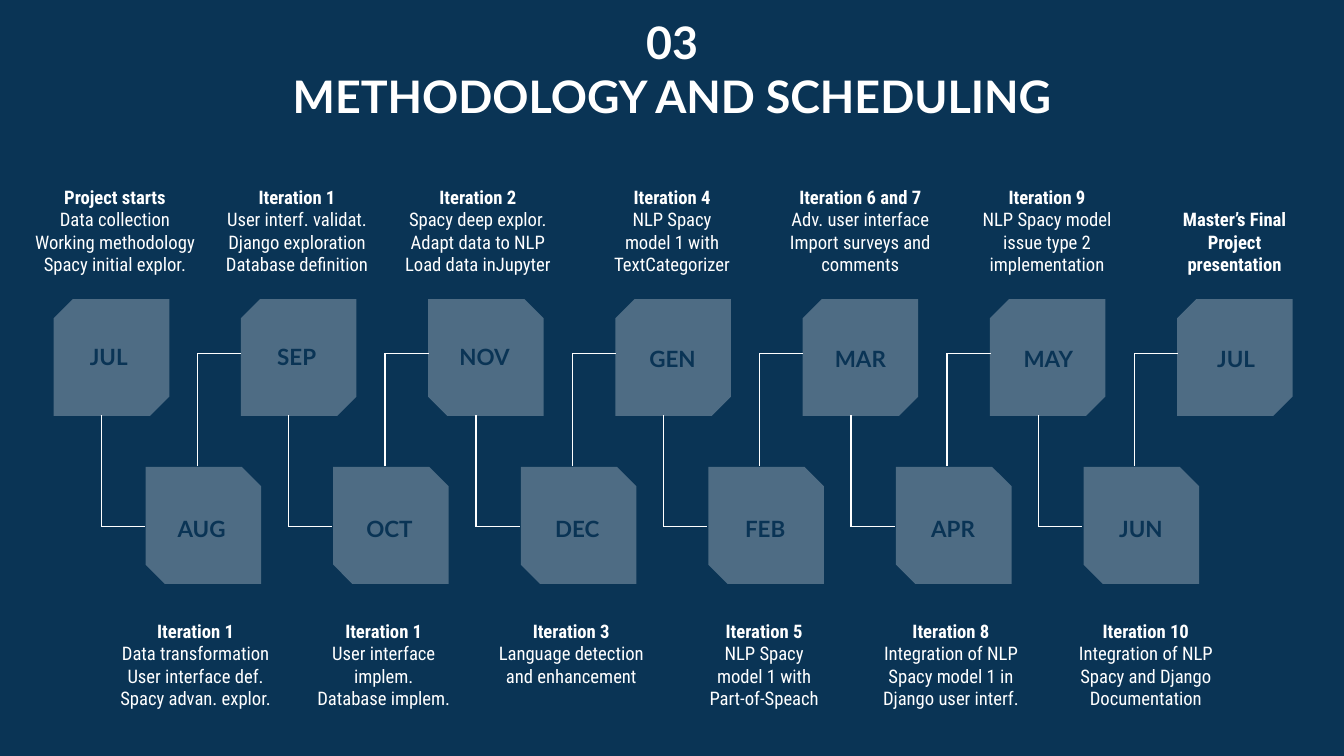
from dataclasses import dataclass

import lxml.etree
import pptx
import pptx.dml.color
import pptx.enum.shapes
import pptx.enum.text
import pptx.oxml.ns
import pptx.util

ANCHOR = pptx.enum.text.MSO_ANCHOR
Color = pptx.dml.color.RGBColor


@dataclass(frozen=True)
class Theme:
    navy: Color = Color.from_string("0A3455")
    white: Color = Color.from_string("FFFFFF")
    heading_font: str = "Lato"
    body_font: str = "Roboto Condensed"
    title_size: float = 24
    month_size: float = 12
    note_size: float = 10
    line_width: float = 0.75
    tile_opacity: int = 28  # percent
    tile_snip: float = 0.167


@dataclass(frozen=True)
class Step:
    """A month with its note; note_left and note_width are grid columns."""
    month: str
    note_left: float
    note_width: float
    heading: str
    lines: tuple[str, ...] = ()
    mirrored: bool = False
    month_anchor: ANCHOR = ANCHOR.TOP


@dataclass(frozen=True)
class Band:
    """A row of steps; every length is in grid columns and rows."""
    tile_left: float
    tile_top: float
    tile_pitch: float
    month_left: float
    month_top: float
    note_top: float
    note_height: float
    note_anchor: ANCHOR
    stem_left: float
    stem_start: float
    stem_end: float
    steps: tuple[Step, ...]


THEME = Theme()

# Grid: 100 columns across the slide, rows of the same size
COLUMNS, ROWS = 100, 56.25
COLUMN = pptx.util.Inches(10) // COLUMNS
MONTH_PITCH = 13.98
LINK_PITCH = 13.94
TILE_WIDTH, TILE_HEIGHT = 8.6, 8.7
MONTH_HEIGHT = 4.3
BRANCH = 3.25
LINK_COUNT = 6

UPPER = Band(4, 22.25, 13.93, 3.8, 24.55, 13.3, 8.2, ANCHOR.BOTTOM, 7.55, 30.9, 39.2, (
    Step("JUL", 1.5, 14.1, "Project starts",
         ("Data collection", "Working methodology", "Spacy initial explor.")),
    Step("SEP", 15.6, 13, "Iteration 1",
         ("User interf. validat.", "Django exploration", "Database definition")),
    Step("NOV", 28.6, 13.9, "Iteration 2",
         ("Spacy deep explor.", "Adapt data to NLP", "Load data inJupyter"),
         mirrored=True),
    Step("GEN", 44.05, 11.9, "Iteration 4",
         ("NLP Spacy", "model 1 with TextCategorizer"), month_anchor=ANCHOR.MIDDLE),
    Step("MAR", 57.25, 13.5, "Iteration 6 and 7",
         ("Adv. user interface", "Import surveys and comments"),
         month_anchor=ANCHOR.MIDDLE),
    Step("MAY", 71.95, 11.9, "Iteration 9",
         ("NLP Spacy model issue type 2 implementation",),
         month_anchor=ANCHOR.MIDDLE),
    Step("JUL", 85.9, 11.9, "Master’s Final Project presentation",
         month_anchor=ANCHOR.MIDDLE),
))

LOWER = Band(10.83, 34.75, 13.96, 10.7, 37.3, 45.1, 8.5, ANCHOR.TOP, 14.7, 34.7, 26.3, (
    Step("AUG", 7.6, 13.9, "Iteration 1",
         ("Data transformation", "User interface def.", "Spacy advan. explor."),
         mirrored=True),
    Step("OCT", 21.5, 14.1, "Iteration 1",
         ("User interface implem.", "Database implem."), mirrored=True),
    Step("DEC", 35.6, 13.8, "Iteration 3",
         ("Language detection and enhancement",), mirrored=True),
    Step("FEB", 50.9, 11.9, "Iteration 5",
         ("NLP Spacy", "model 1 with", "Part-of-Speach"), mirrored=True),
    Step("APR", 64, 13.5, "Iteration 8",
         ("Integration of NLP Spacy model 1 in Django user interf.",), mirrored=True),
    Step("JUN", 78.5, 13.5, "Iteration 10",
         ("Integration of NLP Spacy and Django", "Documentation"), mirrored=True),
))


def grid(*lengths: float) -> list[int]:
    return [round(length * COLUMN) for length in lengths]


def write_text(shape, lines: tuple[str, ...], *, font: str, size: float,
               color: Color, anchor: ANCHOR = ANCHOR.TOP,
               bold_lines: int = 1) -> None:
    """Fill a shape with centred paragraphs, the first bold_lines in bold."""
    frame = shape.text_frame
    frame.word_wrap = True
    frame.auto_size = pptx.enum.text.MSO_AUTO_SIZE.NONE
    frame.vertical_anchor = anchor
    frame.margin_left = frame.margin_right = COLUMN
    frame.margin_top = frame.margin_bottom = COLUMN
    for index, line in enumerate(lines):
        paragraph = frame.add_paragraph() if index else frame.paragraphs[0]
        paragraph.alignment = pptx.enum.text.PP_ALIGN.CENTER
        run = paragraph.add_run()
        run.text = line
        run.font.name = font
        run.font.size = pptx.util.Pt(size)
        run.font.bold = index < bold_lines
        run.font.color.rgb = color


def add_tile(slide, left: float, top: float, mirrored: bool) -> None:
    tile = slide.shapes.add_shape(
        pptx.enum.shapes.MSO_SHAPE.SNIP_2_DIAG_RECTANGLE,
        *grid(left, top, TILE_WIDTH, TILE_HEIGHT))
    tile.shadow.inherit = False
    tile.adjustments[0] = 0 if mirrored else THEME.tile_snip
    tile.adjustments[1] = THEME.tile_snip if mirrored else 0
    tile.line.fill.background()
    tile.fill.solid()
    tile.fill.fore_color.rgb = THEME.white
    color = tile._element.spPr.find(".//" + pptx.oxml.ns.qn("a:srgbClr"))
    alpha = lxml.etree.SubElement(color, pptx.oxml.ns.qn("a:alpha"))
    alpha.set("val", str(THEME.tile_opacity * 1000))


def add_line(slide, *ends: float) -> None:
    line = slide.shapes.add_connector(
        pptx.enum.shapes.MSO_CONNECTOR.STRAIGHT, *grid(*ends))
    line.line.color.rgb = THEME.white
    line.line.width = pptx.util.Pt(THEME.line_width)
    lxml.etree.SubElement(line._element.spPr, pptx.oxml.ns.qn("a:effectLst"))


def add_band(slide, band: Band) -> None:
    for index, step in enumerate(band.steps):
        add_tile(slide, band.tile_left + index * band.tile_pitch,
                 band.tile_top, step.mirrored)

        month = slide.shapes.add_textbox(*grid(
            band.month_left + index * MONTH_PITCH, band.month_top,
            TILE_WIDTH, MONTH_HEIGHT))
        write_text(month, (step.month,), font=THEME.heading_font,
                   size=THEME.month_size, color=THEME.navy,
                   anchor=step.month_anchor)

        note = slide.shapes.add_textbox(*grid(
            step.note_left, band.note_top, step.note_width, band.note_height))
        write_text(note, (step.heading, *step.lines), font=THEME.body_font,
                   size=THEME.note_size, color=THEME.white,
                   anchor=band.note_anchor)

    # Elbow links to the next month in the other band
    for index in range(LINK_COUNT):
        stem = band.stem_left + index * LINK_PITCH
        add_line(slide, stem, band.stem_start, stem, band.stem_end)
        add_line(slide, stem, band.stem_end, stem + BRANCH, band.stem_end)


def main() -> None:
    presentation = pptx.Presentation()
    presentation.slide_width, presentation.slide_height = grid(COLUMNS, ROWS)
    slide = presentation.slides.add_slide(presentation.slide_layouts[5])
    slide.background.fill.solid()
    slide.background.fill.fore_color.rgb = THEME.navy

    # Title
    title = slide.shapes.title
    title.left, title.top, title.width, title.height = grid(18.65, 0.1, 62.7, 9.9)
    write_text(title, ("03", "METHODOLOGY AND SCHEDULING"),
               font=THEME.heading_font, size=THEME.title_size,
               color=THEME.white, bold_lines=2)

    # Timeline
    for band in (UPPER, LOWER):
        add_band(slide, band)

    presentation.save("out.pptx")


if __name__ == "__main__":
    main()
